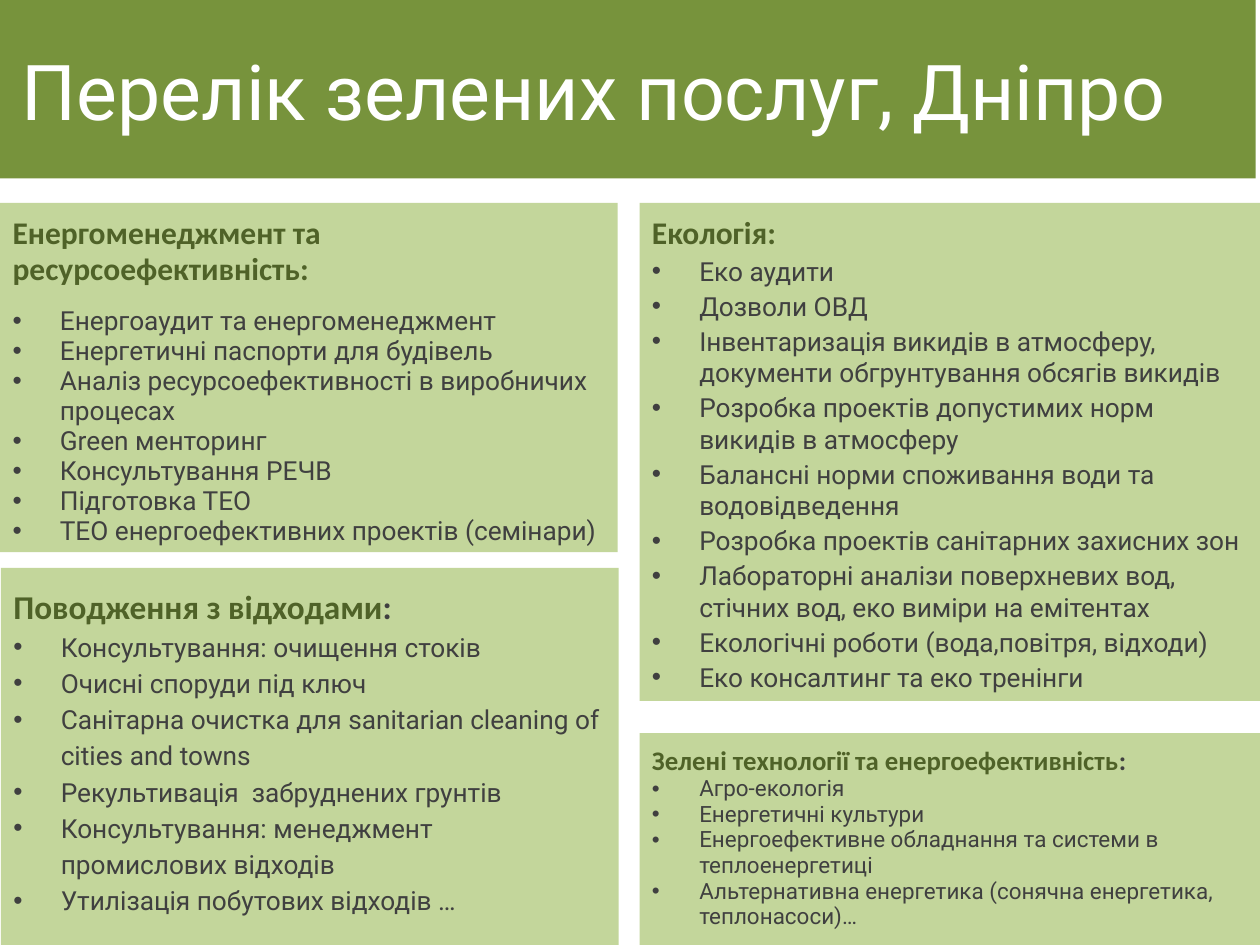
"""Build the slide that lists green services in Dnipro."""
from lxml.etree import SubElement
from pptx import Presentation
from pptx.dml.color import RGBColor
from pptx.enum.shapes import MSO_SHAPE
from pptx.enum.text import MSO_ANCHOR, MSO_AUTO_SIZE, PP_ALIGN
from pptx.oxml.ns import qn
from pptx.util import Pt

DARK, GREY = "4F6228", "404040"


def style(font, name, size, color, bold=False):
    font.name, font.size, font.bold = name, Pt(size), bold
    font.color.rgb = RGBColor.from_string(color)


def panel(shape, box, fill, anchor=MSO_ANCHOR.TOP):
    shape.left, shape.top, shape.width, shape.height = map(Pt, box)
    shape.fill.solid()
    shape.fill.fore_color.rgb = RGBColor.from_string(fill)
    shape.line.fill.background()
    frame = shape.text_frame
    frame.word_wrap = True
    frame.auto_size = MSO_AUTO_SIZE.NONE
    frame.vertical_anchor = anchor
    frame.margin_left = frame.margin_right = Pt(7.2)
    frame.margin_top = frame.margin_bottom = Pt(7.2)
    return frame


deck = Presentation()
deck.slide_width, deck.slide_height = Pt(720), Pt(540)
slide = deck.slides.add_slide(deck.slide_layouts[3])
title, *bodies = slide.placeholders

frame = panel(title, (-16.5, 0, 734, 102), "77933C", MSO_ANCHOR.MIDDLE)
frame.margin_left = Pt(29)
frame.text = "Перелік зелених послуг, Дніпро"
head = frame.paragraphs[0]
head.alignment = PP_ALIGN.LEFT
style(head.font, "Roboto", 44, "FFFFFF")

for _ in range(2):
    extra = slide.shapes.add_shape(MSO_SHAPE.RECTANGLE, 0, 0, 0, 0)
    extra.shadow.inherit = False
    bodies.append(extra)

# box, heading, colon in grey, heading size, list size,
# heading spacing, list spacing, gap after heading, gap before items
groups = [
    ((0, 116, 353, 199.5), "Енергоменеджмент та ресурсоефективність:", "",
     18, 15, 0.95, 0.95, 11, 0,
     ["Енергоаудит та енергоменеджмент",
      "Енергетичні паспорти для будівель",
      "Аналіз ресурсоефективності в виробничих процесах",
      "Green менторинг",
      "Консультування РЕЧВ",
      "Підготовка ТЕО",
      "ТЕО енергоефективних проектів (семінари)"]),
    ((0.5, 324.5, 353, 215.5), "Поводження з відходами", ":",
     19, 15, 1.15, 1.15, 0, 0,
     ["Консультування: очищення стоків",
      "Очисні споруди під ключ",
      "Санітарна очистка для sanitarian cleaning of cities and towns",
      "Рекультивація  забруднених грунтів",
      "Консультування: менеджмент промислових відходів",
      "Утилізація побутових відходів …"]),
    ((365.5, 116, 354.5, 284.5), "Екологія:", "",
     18, 15, 0.95, 1.0, 0, 2,
     ["Еко аудити",
      "Дозволи ОВД",
      "Інвентаризація викидів в атмосферу, документи обгрунтування обсягів викидів",
      "Розробка проектів допустимих норм викидів в атмосферу",
      "Балансні норми споживання води та водовідведення",
      "Розробка проектів санітарних захисних зон",
      "Лабораторні аналізи поверхневих вод, стічних вод, еко виміри на емітентах",
      "Екологічні роботи (вода,повітря, відходи)",
      "Еко консалтинг та еко тренінги"]),
    ((365.5, 419, 354.5, 121), "Зелені технології та енергоефективність", ":",
     15.3, 12.8, 0.95, 0.95, 0, 0,
     ["Агро-екологія",
      "Енергетичні культури",
      "Енергоефективне обладнання та системи в теплоенергетиці",
      "Альтернативна енергетика (сонячна енергетика, теплонасоси)…"]),
]

for shape, group in zip(bodies, groups):
    box, name, colon, big, small, lead, pitch, after, before, items = group
    frame = panel(shape, box, "C3D69B")
    head = frame.paragraphs[0]
    props = head._p.get_or_add_pPr()
    props.set("marL", "0")
    props.set("indent", "0")
    SubElement(props, qn("a:buNone"))
    head.add_run().text = name
    if colon:
        run = head.add_run()
        run.text = colon
        run.font.color.rgb = RGBColor.from_string(GREY)
    head.alignment = PP_ALIGN.LEFT
    head.line_spacing = lead
    head.space_before, head.space_after = Pt(0), Pt(after)
    style(head.font, "Calibri", big, DARK, True)

    for item in items:
        line = frame.add_paragraph()
        line.text = item
        props = line._p.get_or_add_pPr()
        props.set("marL", str(Pt(27)))
        props.set("indent", str(Pt(-27)))
        SubElement(props, qn("a:buFont"), typeface="Arial")
        SubElement(props, qn("a:buChar"), char="•")
        line.alignment = PP_ALIGN.LEFT
        line.line_spacing = pitch
        line.space_before, line.space_after = Pt(before), Pt(0)
        style(line.font, "Roboto", small, GREY)

deck.save("out.pptx")
